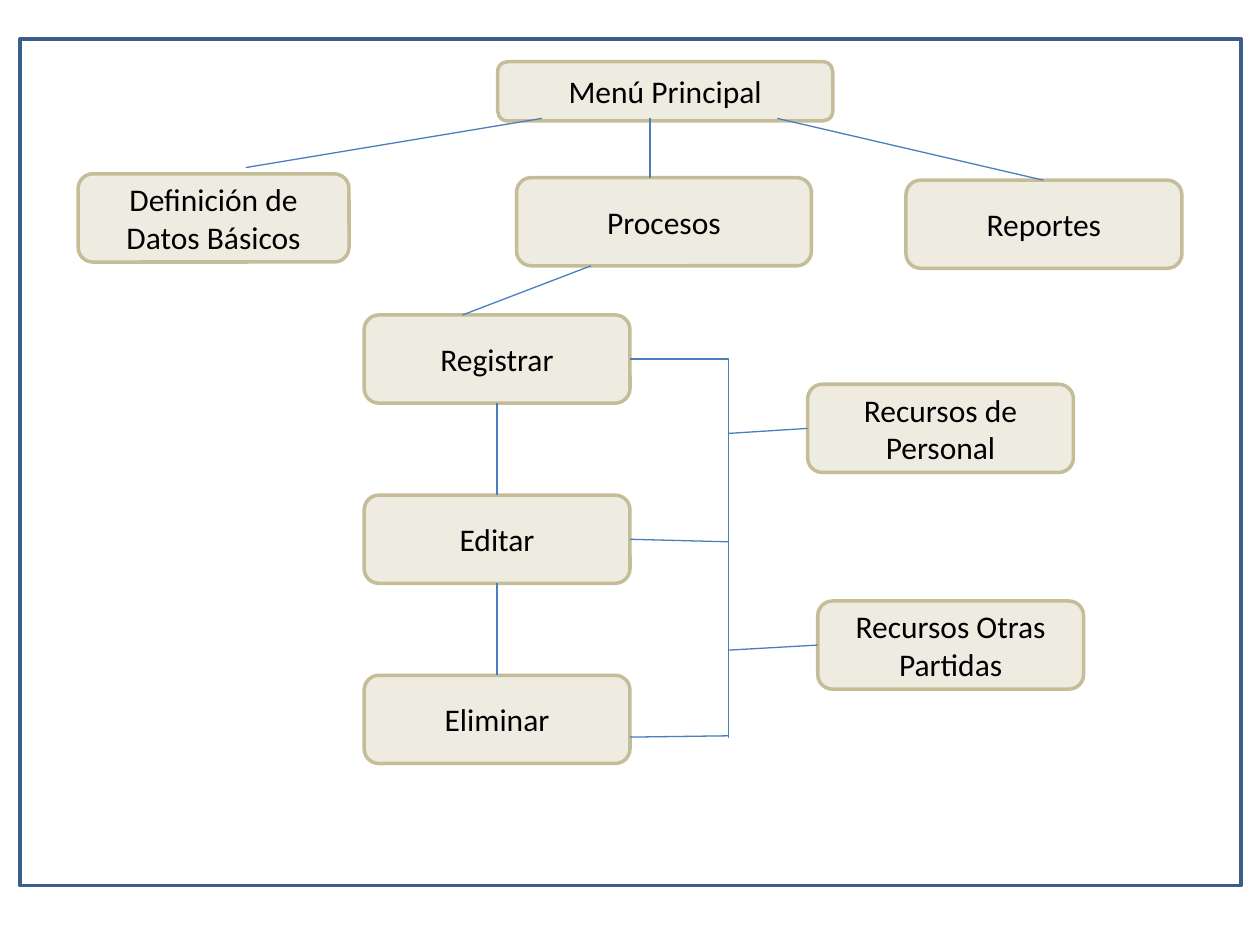
from dataclasses import dataclass

from pptx import Presentation
from pptx.dml.color import RGBColor as RGB
from pptx.enum.shapes import MSO_CONNECTOR as CONN, MSO_SHAPE as SHAPE
from pptx.enum.text import MSO_ANCHOR as ANCHOR, PP_ALIGN as ALIGN
from pptx.oxml.ns import qn
from pptx.oxml.xmlchemy import OxmlElement
from pptx.util import Inches, Pt


@dataclass(frozen=True)
class Theme:
    """Colours, font and line widths of the slide."""
    paper: RGB = RGB(0xFF, 0xFF, 0xFF)
    frame: RGB = RGB(0x3A, 0x5F, 0x8C)
    box_fill: RGB = RGB(0xEE, 0xEC, 0xE1)
    box_line: RGB = RGB(0xC4, 0xBD, 0x97)
    link: RGB = RGB(0x4B, 0x7E, 0xBC)
    text: RGB = RGB(0, 0, 0)
    font: str = "Calibri"
    text_size: float = 18
    outline: float = 2
    link_width: float = 0.75


@dataclass(frozen=True)
class Box:
    """A menu entry, in inches."""
    label: str
    left: float
    top: float
    width: float = 2.11
    height: float = 0.7


@dataclass(frozen=True)
class Link:
    """A line between two points, in inches."""
    x1: float
    y1: float
    x2: float
    y2: float
    elbow: bool = False


THEME = Theme()
ACTION_LEFT, ACTION_RIGHT, ACTION_MID = 2.89, 5.0, 3.945
ACTION_TOPS = (2.5, 3.93, 5.36)
BOX_HEIGHT = 0.7
BUS = 5.78  # vertical line shared by the actions and the resources

BOXES = [
    Box("Menú Principal", 3.95, 0.49, 2.66, 0.47),
    Box("Definición de Datos Básicos", 0.62, 1.38, 2.15),
    Box("Procesos", 4.1, 1.41, 2.34),
    Box("Reportes", 7.19, 1.43, 2.19),
    *(Box(label, ACTION_LEFT, top)
      for label, top in zip(("Registrar", "Editar", "Eliminar"), ACTION_TOPS)),
    Box("Recursos de Personal", 6.41, 3.05),
    Box("Recursos Otras Partidas", 6.49, 4.77),
]

LINKS = [
    Link(4.3, 0.94, 1.95, 1.33),
    Link(5.16, 0.94, 5.16, 1.41),
    Link(6.17, 0.94, 8.28, 1.43),
    Link(4.69, 2.11, 3.67, 2.5),
    *(Link(ACTION_MID, upper + BOX_HEIGHT, ACTION_MID, lower)
      for upper, lower in zip(ACTION_TOPS, ACTION_TOPS[1:])),
    Link(ACTION_RIGHT, 2.85, BUS, 5.86, elbow=True),
    Link(ACTION_RIGHT, 4.28, BUS, 4.3),
    Link(ACTION_RIGHT, 5.85, BUS, 5.84),
    Link(BUS, 3.44, 6.41, 3.4),
    Link(BUS, 5.16, 6.49, 5.12),
]


def add_panel(slide, kind: SHAPE, box: Box, fill: RGB, line: RGB):
    """Draw a filled, outlined shape without shadow."""
    sp = slide.shapes.add_shape(kind, Inches(box.left), Inches(box.top),
                                Inches(box.width), Inches(box.height))
    sp.shadow.inherit = False
    sp.fill.solid()
    sp.fill.fore_color.rgb = fill
    sp.line.color.rgb = line
    sp.line.width = Pt(THEME.outline)
    return sp


def set_text(sp, text: str, *, size: float = THEME.text_size,
             color: RGB = THEME.text, align: ALIGN = ALIGN.CENTER) -> None:
    """Write one formatted paragraph into a shape."""
    tf = sp.text_frame
    tf.word_wrap = True
    tf.vertical_anchor = ANCHOR.MIDDLE
    p = tf.paragraphs[0]
    p.alignment = align
    r = p.add_run()
    r.text = text
    r.font.name = THEME.font
    r.font.size = Pt(size)
    r.font.color.rgb = color


def add_link(slide, link: Link) -> None:
    """Draw a straight line, or a single right-angle bend."""
    kind = CONN.ELBOW if link.elbow else CONN.STRAIGHT
    cxn = slide.shapes.add_connector(kind, Inches(link.x1), Inches(link.y1),
                                     Inches(link.x2), Inches(link.y2))
    cxn.line.color.rgb = THEME.link
    cxn.line.width = Pt(THEME.link_width)
    sp_pr = cxn._element.spPr
    if link.elbow:
        sp_pr.find(qn("a:prstGeom")).set("prst", "bentConnector2")
    sp_pr.append(OxmlElement("a:effectLst"))


def main() -> None:
    """Build the menu diagram and save it."""
    prs = Presentation()
    prs.slide_width, prs.slide_height = Inches(10), Inches(7.5)
    slide = prs.slides.add_slide(prs.slide_layouts[6])
    add_panel(slide, SHAPE.RECTANGLE, Box("", 0.16, 0.31, 9.69, 6.72),
              THEME.paper, THEME.frame)
    for box in BOXES:
        sp = add_panel(slide, SHAPE.ROUNDED_RECTANGLE, box,
                       THEME.box_fill, THEME.box_line)
        set_text(sp, box.label)
    for link in LINKS:
        add_link(slide, link)
    prs.save("out.pptx")


main()
